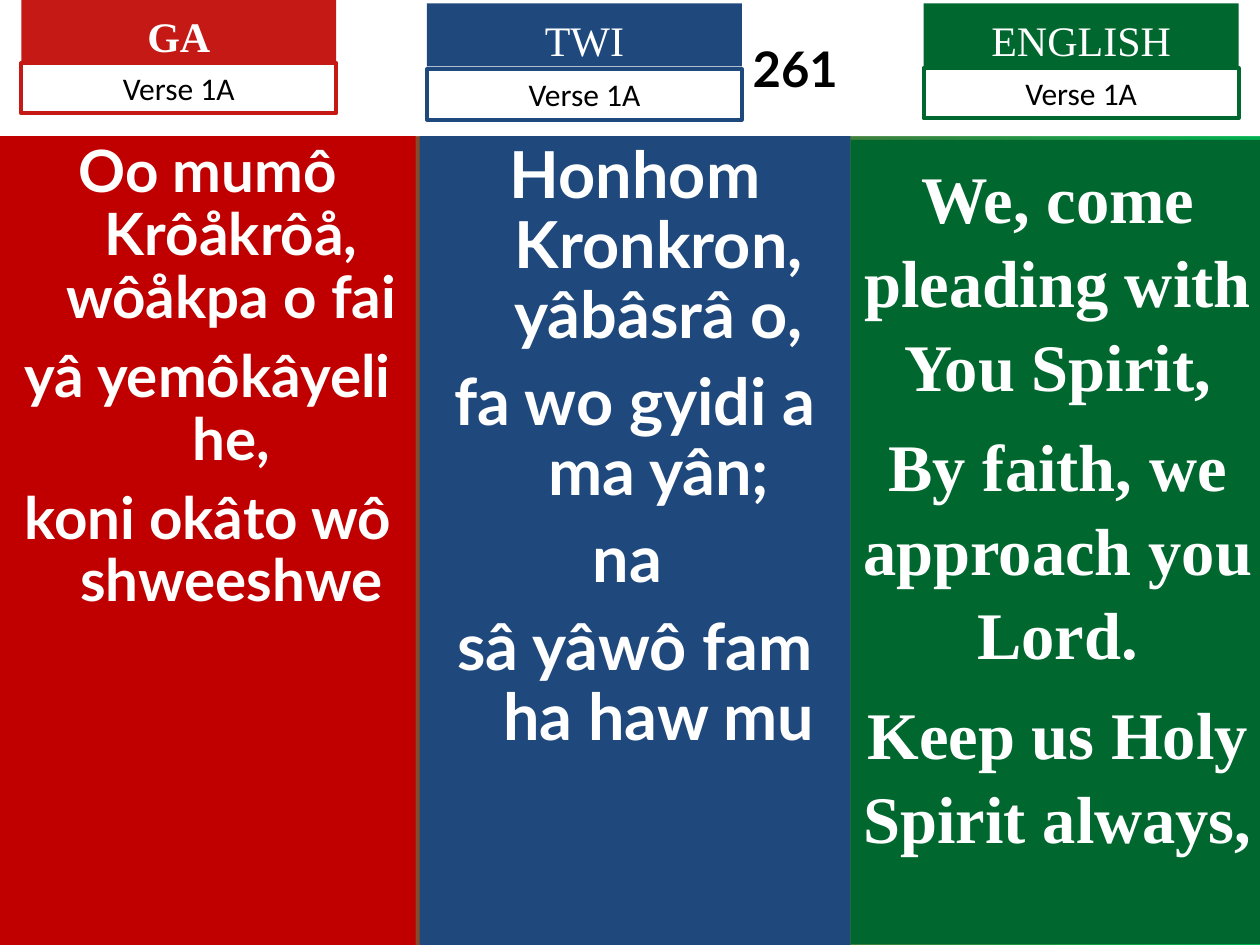
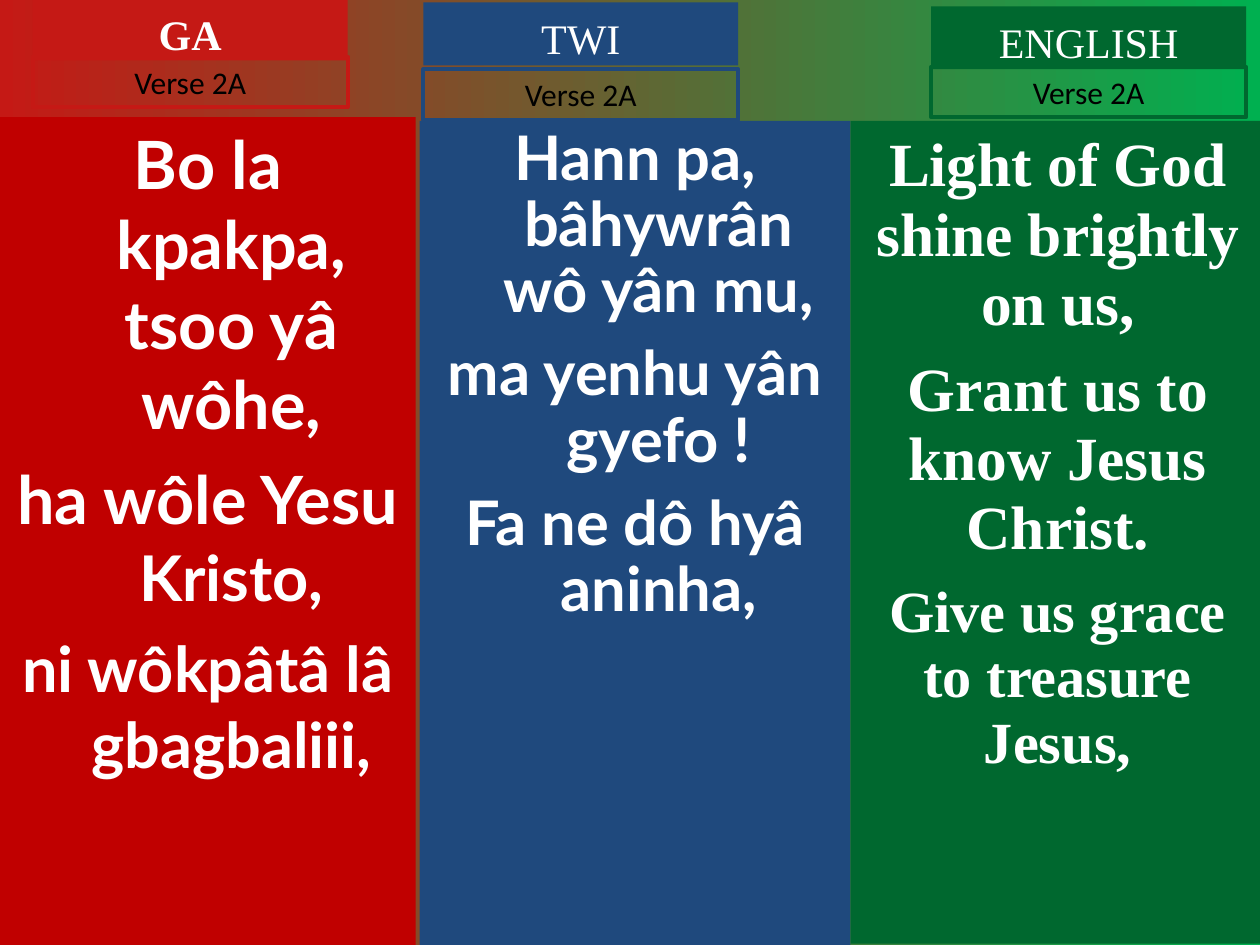
from pptx import Presentation
from pptx.dml.color import RGBColor
from pptx.enum.shapes import MSO_SHAPE
from pptx.enum.text import MSO_ANCHOR, MSO_AUTO_SIZE, PP_ALIGN
from pptx.util import Pt


def color(hex_string):
    return RGBColor.from_string(hex_string)


def add_box(s, left, top, width, height, lines, font, ink, fill=None, line=None,
            bold=False, spacing=None, hanging=0, inset=3.6):
    sp = s.shapes.add_shape(MSO_SHAPE.RECTANGLE, Pt(left), Pt(top), Pt(width), Pt(height))
    sp.shadow.inherit = False
    if fill:
        sp.fill.solid()
        sp.fill.fore_color.rgb = color(fill)
    else:
        sp.fill.background()
    if line:
        sp.line.color.rgb = color(line)
        sp.line.width = Pt(2.25)
    else:
        sp.line.fill.background()
    tf = sp.text_frame
    tf.word_wrap = True
    tf.vertical_anchor = MSO_ANCHOR.TOP
    tf.margin_top = Pt(inset)
    for i, (gap, runs) in enumerate(lines):
        p = tf.add_paragraph() if i else tf.paragraphs[0]
        p.alignment = PP_ALIGN.CENTER
        p.space_before = Pt(gap if i else 0)
        if spacing:
            p.line_spacing = spacing
        if hanging:
            pPr = p._p.get_or_add_pPr()
            pPr.set("marL", str(Pt(hanging)))
            pPr.set("indent", str(-Pt(hanging)))
        for text, size in runs:
            r = p.add_run()
            r.text = text
            r.font.name = font
            r.font.size = Pt(size)
            r.font.bold = bold
            r.font.color.rgb = color(ink)


WHITE, BLACK = "FFFFFF", "000000"
SERIF, SANS, LYRIC = "Times New Roman", "Calibri", "Lato"
LABEL_WIDTH, LABEL_HEIGHT, VERSE_HEIGHT = 180, 36, 28.8

languages = [
    {"name": "GA", "left": 0, "width": 237.6, "body": "C00000", "accent": "C51915",
     "font": LYRIC, "hanging": 27},
    {"name": "TWI", "left": 239.8, "width": 246.2, "body": "1F497D", "accent": "1F497D",
     "font": LYRIC, "hanging": 27},
    {"name": "ENGLISH", "left": 486, "width": 236.9, "body": "00682F", "accent": "00682F",
     "font": SERIF, "hanging": 0},
]

verses = [
    {"title": "261", "verse": "Verse 1A", "columns": [
        {"top": 77.8, "label": (12.2, 0), "verse_top": 36, "spacing": 0.9, "inset": 3.6,
         "lines": [(9, [("Oo mumô Krôåkrôå, wôåkpa o fai", 33.3)]),
                   (9, [("yâ yemôkâyeli he,", 33.3)]),
                   (9, [("koni okâto wô shweeshwe", 33.3)])]},
        {"top": 77.8, "label": (244, 2), "verse_top": 39.6, "spacing": 0.9, "inset": 3.6,
         "lines": [(10, [("Honhom Kronkron, yâbâsrâ o,", 37)]),
                   (10, [("fa wo gyidi a ma yân;", 37)]),
                   (10, [("na ", 37)]),
                   (10, [("sâ yâwô fam ha haw mu", 37)])]},
        {"top": 79.9, "label": (527.8, 2), "verse_top": 38.9, "spacing": 1.05, "inset": 7.6,
         "lines": [(9.5, [("We, come pleading with You Spirit,", 38)]),
                   (9.5, [("By faith, we approach you Lord.", 38)]),
                   (9.5, [("Keep us Holy Spirit always,", 38)])]},
    ]},
    {"title": None, "verse": "Verse 2A", "columns": [
        {"top": 67, "label": (18.7, -1.4), "verse_top": 32.4, "spacing": None, "inset": 3.6,
         "lines": [(9.5, [("Bo la kpakpa, tsoo yâ wôhe,", 38)]),
                   (9, [("ha wôle Yesu ", 38), ("Kristo,", 36)]),
                   (9, [("ni wôkpâtâ lâ gbagbaliii,", 36)])]},
        {"top": 69.1, "label": (241.9, 1.4), "verse_top": 39.6, "spacing": 0.9, "inset": 3.6,
         "lines": [(9.5, [("Hann pa, bâhywrân wô yân mu,", 35.1)]),
                   (9.5, [("ma yenhu yân gyefo !", 35.1)]),
                   (9.5, [("Fa ne dô hyâ aninha,", 35.1)])]},
        {"top": 69.1, "label": (532.1, 3.6), "verse_top": 38.2, "spacing": 0.94, "inset": 6,
         "lines": [(9.5, [("Light of God shine brightly on us,", 35.1)]),
                   (9.5, [("Grant us to know Jesus Christ.", 35.1)]),
                   (9, [("Give us grace to treasure Jesus,", 33.3)])]},
    ]},
]

prs = Presentation()
prs.slide_width, prs.slide_height = Pt(720), Pt(540)

for verse in verses:
    s = prs.slides.add_slide(prs.slide_layouts[5 if verse["title"] else 6])
    bg = s.background.fill
    bg.gradient()
    bg.gradient_angle = 0
    for stop, position, shade in zip(bg.gradient_stops, (0, 1), ("C51915", "00B050")):
        stop.position = position
        stop.color.rgb = color(shade)

    if verse["title"]:
        title = s.shapes.title
        title.left, title.top, title.width, title.height = Pt(0), Pt(0), Pt(720), Pt(77.8)
        title.fill.solid()
        title.fill.fore_color.rgb = color(WHITE)
        tf = title.text_frame
        tf.text = verse["title"]
        tf.auto_size = MSO_AUTO_SIZE.NONE
        tf.vertical_anchor = MSO_ANCHOR.MIDDLE
        tf.margin_left = Pt(196)
        p = tf.paragraphs[0]
        p.alignment = PP_ALIGN.CENTER
        r = p.runs[0]
        r.font.name = LYRIC
        r.font.size = Pt(28)
        r.font.bold = True
        r.font.color.rgb = color(BLACK)

    for lang, col in zip(languages, verse["columns"]):
        left, top = col["label"]
        bottom = 540 if lang["name"] != "ENGLISH" else 539.3
        add_box(s, lang["left"], col["top"], lang["width"], bottom - col["top"], col["lines"],
                lang["font"], WHITE, fill=lang["body"], bold=True, spacing=col["spacing"],
                hanging=lang["hanging"], inset=col["inset"])
        add_box(s, left, top, LABEL_WIDTH, LABEL_HEIGHT, [(0, [(lang["name"], 24)])],
                SERIF, WHITE, fill=lang["accent"], bold=lang["name"] == "GA", inset=6)
        add_box(s, left, col["verse_top"], LABEL_WIDTH, VERSE_HEIGHT,
                [(0, [(verse["verse"], 18)])], SANS, BLACK, line=lang["accent"])

prs.save("out.pptx")
